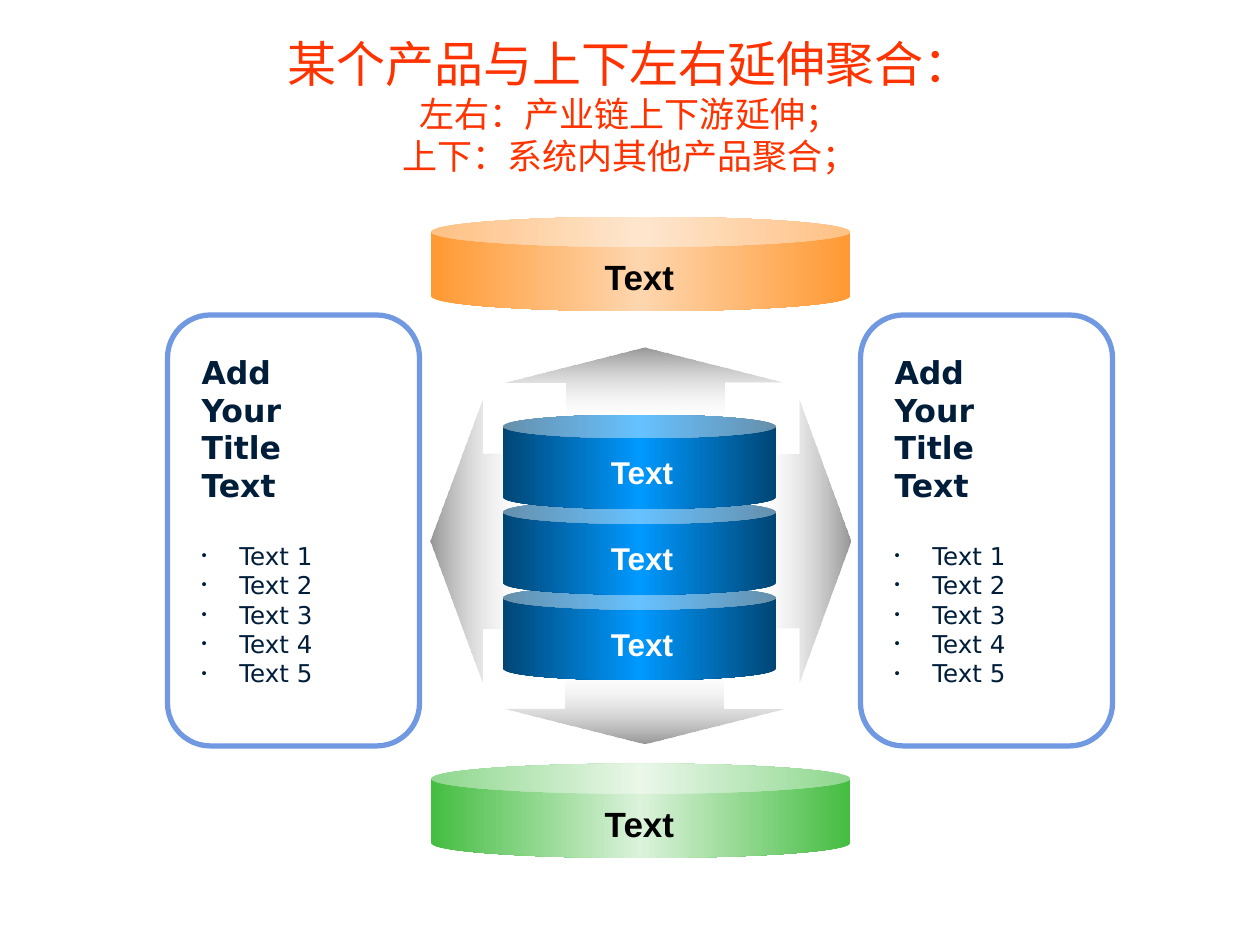
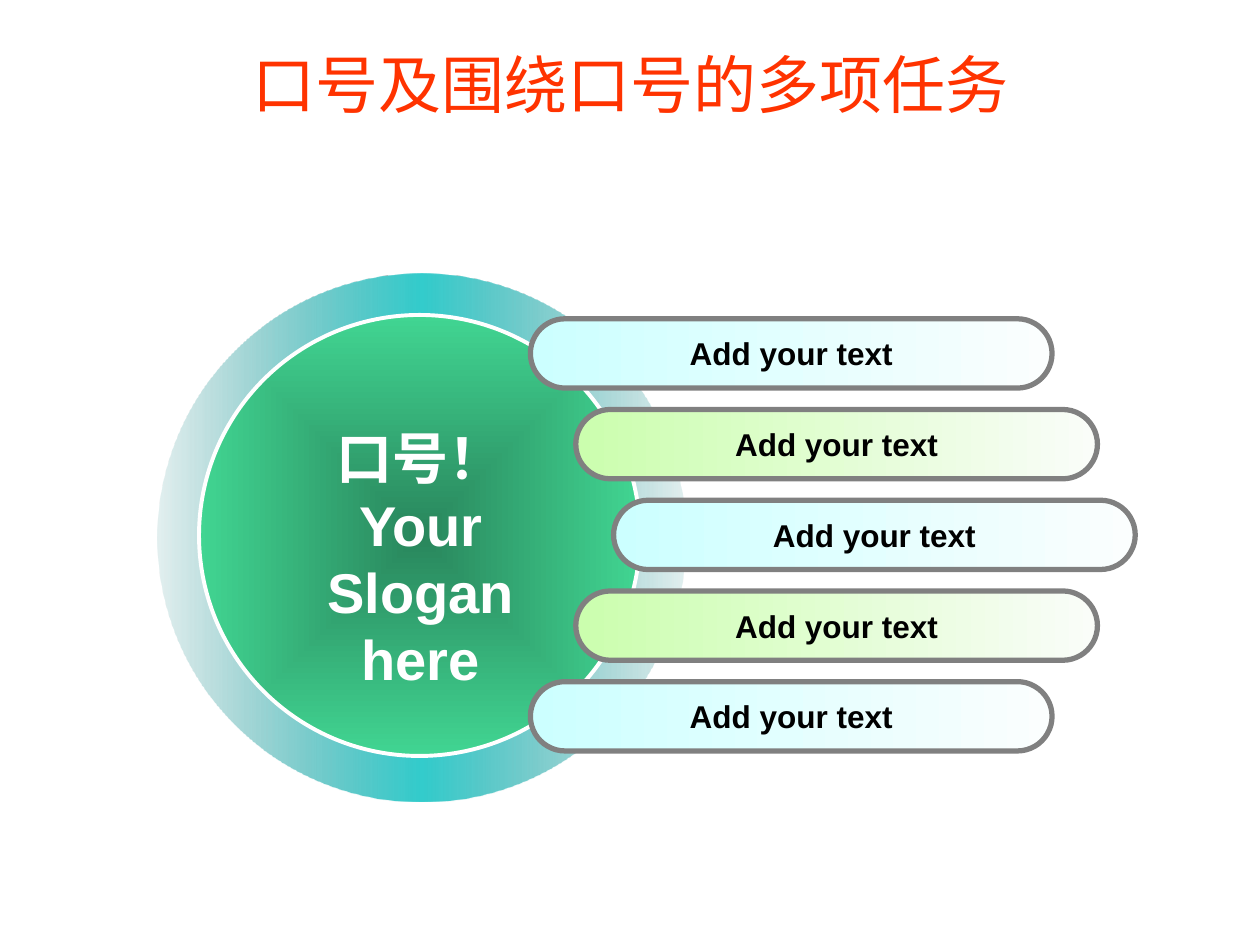
"""Build two diagram slides: a product with its four extensions, and a slogan with its tasks."""
import lxml.etree
import pptx
import pptx.dml.color
import pptx.enum.shapes
import pptx.enum.text
import pptx.oxml
import pptx.oxml.ns
import pptx.util

Inches = pptx.util.Inches
Pt = pptx.util.Pt
Shape = pptx.enum.shapes.MSO_SHAPE
Align = pptx.enum.text.PP_ALIGN
Anchor = pptx.enum.text.MSO_ANCHOR
NAMESPACE = pptx.oxml.ns.nsdecls("a")

RED, NAVY, WHITE, BLACK = "FF3300", "001D3A", "FFFFFF", "000000"
PANEL_EDGE, PILL_EDGE = "7099E2", "808080"
ARROW_FADE = [(0, WHITE, 10), (100, "969696", 100)]
ORANGE, GREEN, BLUE = ("FF9933", "FED6AE"), ("44BD41", "DCF2DB"), ("004675", "0099FF")
CYAN_PILL, LIME_PILL = ("FBFEFE", "CCFFFF"), ("FAFDF9", "CBFEAE")
RIGHTWARD = '<a:lin ang="0" scaled="0"/>'
LEFTWARD = '<a:lin ang="10800000" scaled="0"/>'
DOWNWARD = '<a:lin ang="5400000" scaled="0"/>'
FROM_CENTRE = '<a:path path="rect"><a:fillToRect l="50000" t="50000" r="50000" b="50000"/></a:path>'


def color(value):
    return pptx.dml.color.RGBColor.from_string(value)


def ends(first, last):
    return [(0, first, 100), (100, last, 100)]


def sheen(edge, middle, opacity=100):
    return [(0, edge, opacity), (50, middle, 100), (100, edge, opacity)]


class SlideBuilder:
    def __init__(self, deck):
        self.deck = deck
        self.slide = None

    def add_slide(self, layout):
        self.slide = self.deck.slides.add_slide(self.deck.slide_layouts[layout])

    def place(self, box, area):
        box.left, box.top, box.width, box.height = map(Inches, area)

    def frame(self, box, wrap, anchor):
        frame = box.text_frame
        frame.auto_size = pptx.enum.text.MSO_AUTO_SIZE.NONE
        frame.word_wrap = wrap
        frame.vertical_anchor = anchor
        frame.margin_left = frame.margin_right = Inches(0.1)
        frame.margin_top = frame.margin_bottom = Inches(0.05)
        return frame

    def add_lines(self, frame, lines, tone, bold=False, font="Arial", align=Align.CENTER):
        spans = []
        for index, (text, size) in enumerate(lines):
            para = frame.add_paragraph() if index else frame.paragraphs[0]
            para.alignment = align
            para.space_before = Pt(0)
            span = para.add_run()
            span.text = text
            span.font.size = Pt(size)
            span.font.bold = bold
            span.font.name = font
            span.font.color.rgb = color(tone)
            spans.append(span)
        return spans

    def title(self, height, lines):
        box = self.slide.shapes.title
        self.place(box, (0, 0.25, 10, height))
        self.add_lines(self.frame(box, True, Anchor.MIDDLE), lines, RED)

    def label(self, area, lines, tone):
        box = self.slide.shapes.add_textbox(*map(Inches, area))
        return self.add_lines(self.frame(box, False, Anchor.TOP), lines, tone, bold=True)

    def shape(self, kind, area, adjust=(), stops=None, direction=LEFTWARD, line=None):
        box = self.slide.shapes.add_shape(kind, *map(Inches, area))
        box.shadow.inherit = False
        for index, value in enumerate(adjust):
            box.adjustments[index] = value
        box.fill.background()
        if stops:
            self.gradient(box, stops, direction)
        if line:
            box.line.color.rgb = color(line[0])
            box.line.width = Pt(line[1])
        else:
            box.line.fill.background()
        return box

    def gradient(self, box, stops, direction):
        marks = "".join(
            f'<a:gs pos="{place * 1000}"><a:srgbClr val="{tone}">'
            f'<a:alpha val="{opacity * 1000}"/></a:srgbClr></a:gs>'
            for place, tone, opacity in stops)
        fill = pptx.oxml.parse_xml(
            f'<a:gradFill {NAMESPACE} rotWithShape="1"><a:gsLst>{marks}</a:gsLst>{direction}</a:gradFill>')
        empty = box.element.spPr.find(pptx.oxml.ns.qn("a:noFill"))
        empty.getparent().replace(empty, fill)

    def can(self, area, tones, adjust):
        self.shape(Shape.CAN, area, [adjust], sheen(*tones))

    def bullet(self, para, shown):
        properties = para._p.get_or_add_pPr()
        properties.set("marL", str(Inches(0.3) if shown else 0))
        properties.set("indent", str(Inches(-0.3) if shown else 0))
        marks = ['<a:buNone {}/>']
        if shown:
            marks = [f'<a:buClr {{}}><a:srgbClr val="{NAVY}"/></a:buClr>',
                     '<a:buSzPct {} val="60000"/>', '<a:buChar {} char="•"/>']
        for mark in marks:
            properties.append(pptx.oxml.parse_xml(mark.format(NAMESPACE)))

    def panel(self, left, body, headings, items):
        self.shape(Shape.ROUNDED_RECTANGLE, (left, 2.5, 2, 3.42), [0.17], line=(PANEL_EDGE, 3))
        box = self.slide.placeholders[body]
        self.place(box, (left + 0.17, 2.75, 1.36, 2.76))
        frame = self.frame(box, True, Anchor.TOP)
        lines = [(text, 18) for text in headings] + [(text, 14) for text in items]
        spans = self.add_lines(frame, lines, NAVY, True, "DejaVu Sans", Align.LEFT)
        for index, (para, span) in enumerate(zip(frame.paragraphs, spans)):
            listed = index >= len(headings)
            self.bullet(para, listed)
            span.font.bold = not listed
        frame.paragraphs[len(headings)].space_before = Pt(21)

    def pill(self, area, tones, text):
        box = self.shape(Shape.ROUNDED_RECTANGLE, area, [0.5], ends(*tones), line=(PILL_EDGE, 3))
        self.add_lines(self.frame(box, False, Anchor.MIDDLE), [(text, 18)], BLACK, bold=True)

    def text_shadow(self, span):
        fill = span.font._element.find(pptx.oxml.ns.qn("a:solidFill"))
        fill.addnext(pptx.oxml.parse_xml(
            f'<a:effectLst {NAMESPACE}><a:outerShdw dist="35921" dir="2700000">'
            f'<a:srgbClr val="{BLACK}"/></a:outerShdw></a:effectLst>'))


def build_extension_slide(builder):
    builder.add_slide(3)
    builder.title(1.17, [("某个产品与上下左右延伸聚合：", 28), ("左右：产业链上下游延伸；", 20),
                         ("上下：系统内其他产品聚合；", 20)])
    for top, rotation in ((5.33, 0), (2.76, 180)):
        arrow = builder.shape(Shape.DOWN_ARROW, (4, top, 2.23, 0.57), (0.564, 0.483), ARROW_FADE, DOWNWARD)
        arrow.rotation = rotation
    builder.shape(Shape.LEFT_ARROW, (3.42, 3.17, 0.75, 2.25), (0.62, 0.549), ARROW_FADE)
    builder.shape(Shape.RIGHT_ARROW, (6, 3.17, 0.75, 2.25), (0.613, 0.544), ARROW_FADE, RIGHTWARD)
    for level in (2, 1, 0):
        top = 3.29 + 0.68 * level
        builder.can((3.99, top, 2.17, 0.75), BLUE, 0.25)
        builder.label((4.74, top + 0.26, 0.71, 0.4), [("Text", 18)], WHITE)
    for left, body in ((1.33, 1), (6.83, 2)):
        builder.panel(left, body, ["Add Your", "Title Text"], [f"Text {number}" for number in range(1, 6)])
    for top, tones in ((1.72, ORANGE), (6.06, GREEN)):
        builder.can((3.42, top, 3.33, 0.75), tones, 0.32)
        builder.label((4.69, top + 0.26, 0.77, 0.44), [("Text", 20)], BLACK)


def build_slogan_slide(builder):
    builder.add_slide(5)
    builder.title(0.83, [("口号及围绕口号的多项任务", 36)])
    builder.shape(Shape.DONUT, (1.25, 2.17, 4.19, 4.19), [0.089], sheen("218787", "33CCCC", 12))
    builder.shape(Shape.OVAL, (1.58, 2.5, 3.5, 3.5), (), ends("29865C", "41D592"), FROM_CENTRE, (WHITE, 2.25))
    for row, left in enumerate((4.21, 4.57, 4.87, 4.57, 4.21)):
        tones = LIME_PILL if row % 2 else CYAN_PILL
        builder.pill((left, 2.53 + 0.72 * row, 4.14, 0.55), tones, "Add your text")
    slogan = [(text, 32) for text in ("口号！", "Your", "Slogan", "here")]
    for span in builder.label((2.5, 3.31, 1.68, 2.24), slogan, WHITE):
        builder.text_shadow(span)


def main():
    deck = pptx.Presentation()
    deck.slide_width, deck.slide_height = Inches(10), Inches(7.5)
    builder = SlideBuilder(deck)
    build_extension_slide(builder)
    build_slogan_slide(builder)
    deck.save("out.pptx")


if __name__ == "__main__":
    main()
